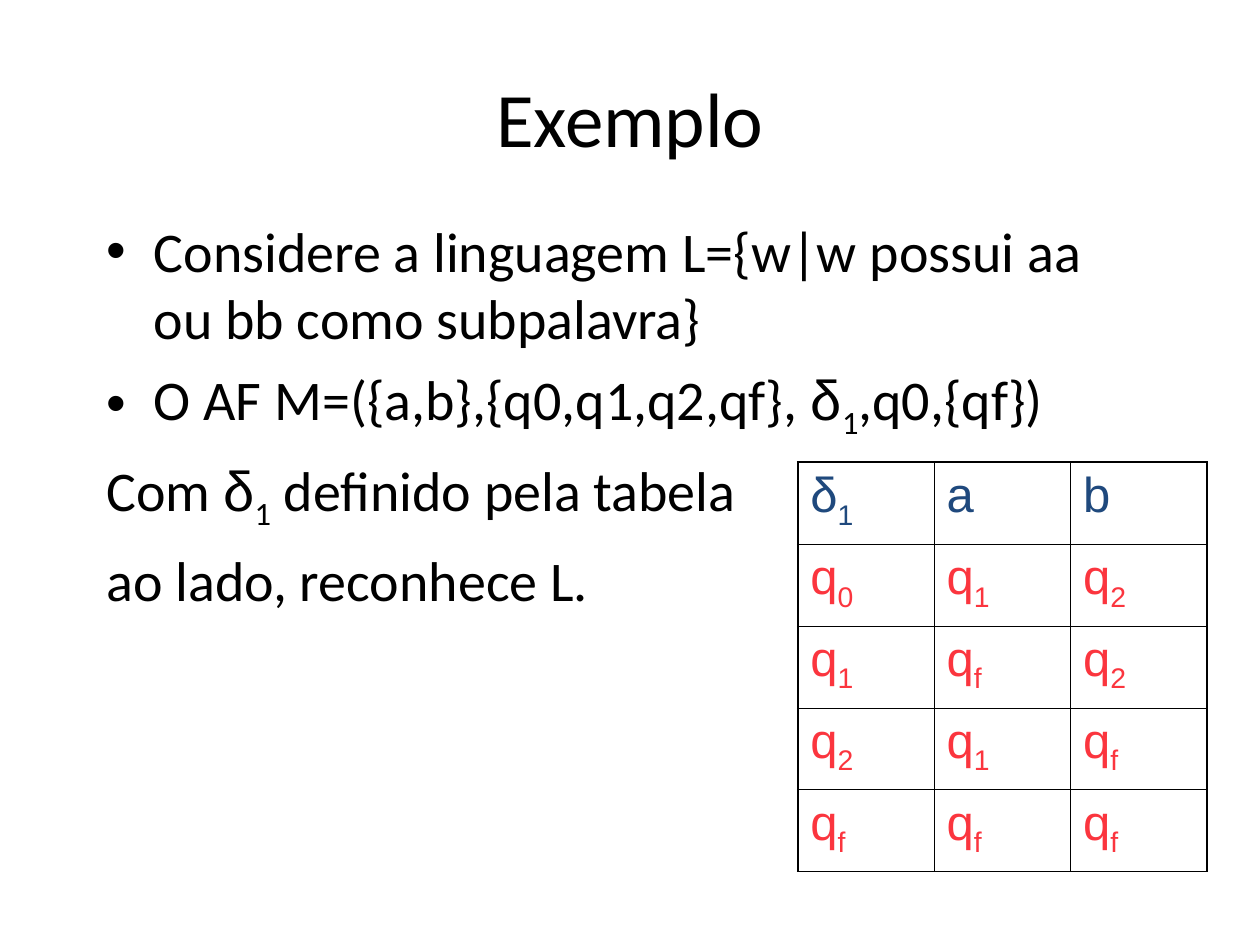
from lxml import etree
from pptx import Presentation
from pptx.dml.color import RGBColor
from pptx.enum import text
from pptx.oxml.ns import qn
from pptx.util import Cm, Pt

BLACK = RGBColor(0x00, 0x00, 0x00)
NAVY = RGBColor(0x1F, 0x49, 0x7D)
RED = RGBColor(0xFB, 0x35, 0x3E)

OUTER, INNER = Pt(1.08), Pt(0.45)
CELL_W, CELL_H = Cm(2.75), Cm(1.65)

# An underscore makes the next character a subscript.
STATEMENTS = [
    ("Considere a linguagem L={w|w possui aa ou bb como subpalavra}", True),
    ("O AF M=({a,b},{q0,q1,q2,qf}, δ_1,q0,{qf})", True),
    ("Com δ_1 definido pela tabela", False),
    ("ao lado, reconhece L.", False),
]
TRANSITIONS = [
    ["δ_1", "a", "b"],
    ["q_0", "q_1", "q_2"],
    ["q_1", "q_f", "q_2"],
    ["q_2", "q_1", "q_f"],
    ["q_f", "q_f", "q_f"],
]


def add_run(p, content, size, font, color, subscript=False):
    r = p.add_run()
    r.text = content
    r.font.size = Pt(size)
    r.font.name = font
    r.font.color.rgb = color
    if subscript:
        r._r.get_or_add_rPr().set("baseline", "-25000")


def write_formula(p, markup, size, font, color):
    """Write text with Greek deltas in Arial and marked subscripts."""
    first, *rest = markup.split("_")
    pieces = [(first, False)]
    for part in rest:
        pieces += [(part[0], True), (part[1:], False)]
    for content, subscript in pieces:
        before, delta, after = content.partition("δ")
        for chunk, face in ((before, font), (delta, "Arial"), (after, font)):
            if chunk:
                add_run(p, chunk, size, face, color, subscript)


def set_hanging(p, bulleted):
    pPr = p._p.get_or_add_pPr()
    pPr.set("marL", str(Cm(0.95)))
    pPr.set("indent", str(-Cm(0.95)))
    if bulleted:
        etree.SubElement(pPr, qn("a:buFont")).set("typeface", "Arial")
        etree.SubElement(pPr, qn("a:buChar")).set("char", "•")
    else:
        etree.SubElement(pPr, qn("a:buNone"))


def add_text_box(s, left, top, width, height):
    tf = s.shapes.add_textbox(left, top, width, height).text_frame
    tf.word_wrap = True
    return tf


def add_title(s, title):
    tf = add_text_box(s, Cm(1.27), Cm(0.76), Cm(22.86), Cm(3.18))
    tf.vertical_anchor = text.MSO_ANCHOR.MIDDLE
    p = tf.paragraphs[0]
    p.alignment = text.PP_ALIGN.CENTER
    add_run(p, title, 44, "Calibri", BLACK)


def add_statements(s):
    tf = add_text_box(s, Cm(1.9), Cm(4.24), Cm(21.6), Cm(11.43))
    for i, (markup, bulleted) in enumerate(STATEMENTS):
        p = tf.add_paragraph() if i else tf.paragraphs[0]
        set_hanging(p, bulleted)
        if i:
            p.space_before = Pt(8)
        write_formula(p, markup, 32, "Calibri", BLACK)


def set_borders(cell, widths):
    """Draw black borders; widths maps L, R, T, B to line widths."""
    tcPr = cell._tc.get_or_add_tcPr()
    for side, width in widths.items():
        ln = etree.SubElement(tcPr, qn(f"a:ln{side}"), w=str(int(width)))
        fill = etree.SubElement(ln, qn("a:solidFill"))
        etree.SubElement(fill, qn("a:srgbClr"), val=str(BLACK))


def add_transition_table(s):
    rows, cols = len(TRANSITIONS), len(TRANSITIONS[0])
    table = s.shapes.add_table(rows, cols, Cm(16.08), Cm(9.32),
                               CELL_W * cols, CELL_H * rows).table
    table.first_row = table.horz_banding = False
    for column in table.columns:
        column.width = CELL_W
    for i, row in enumerate(TRANSITIONS):
        table.rows[i].height = CELL_H
        for j, markup in enumerate(row):
            cell = table.cell(i, j)
            set_borders(cell, {
                "L": OUTER if j == 0 else INNER,
                "R": OUTER if j == cols - 1 else INNER,
                "T": OUTER if i == 0 else INNER,
                "B": OUTER if i == rows - 1 else INNER,
            })
            cell.fill.background()
            write_formula(cell.text_frame.paragraphs[0], markup, 28, "Arial",
                          RED if i else NAVY)


def main():
    prs = Presentation()
    prs.slide_width, prs.slide_height = Cm(25.4), Cm(19.05)
    s = prs.slides.add_slide(prs.slide_layouts[6])
    add_title(s, "Exemplo")
    add_statements(s)
    add_transition_table(s)
    prs.save("out.pptx")


if __name__ == "__main__":
    main()
